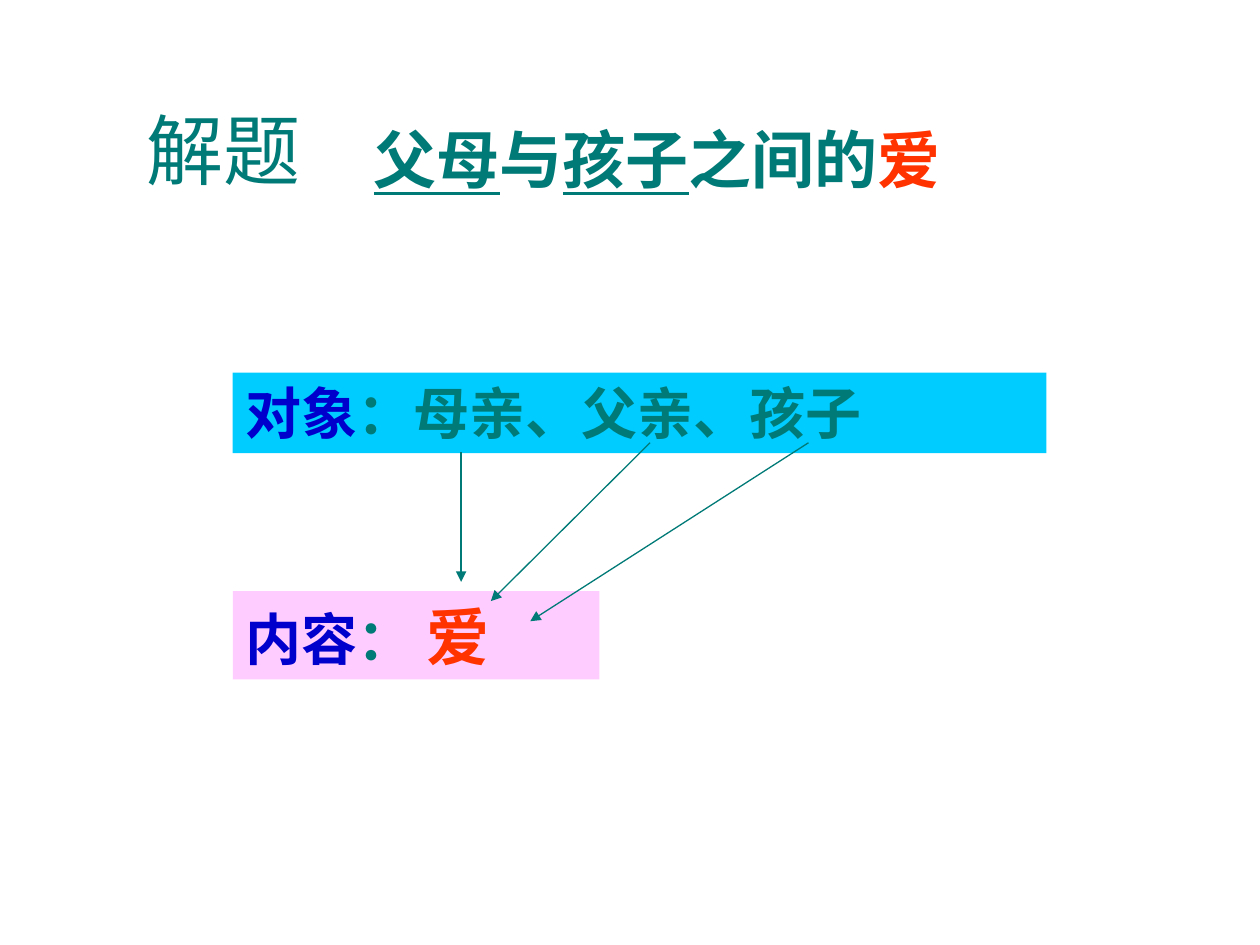
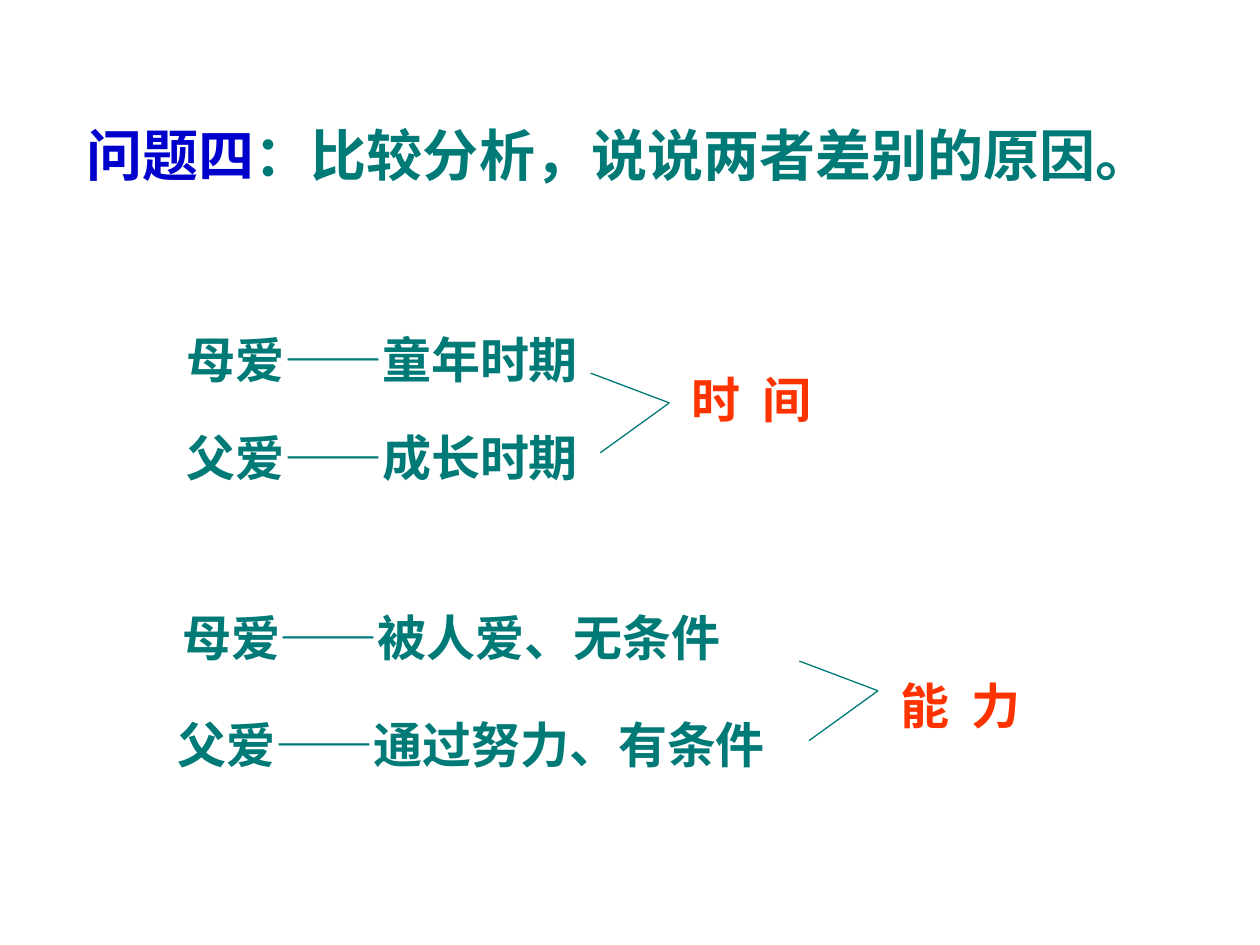
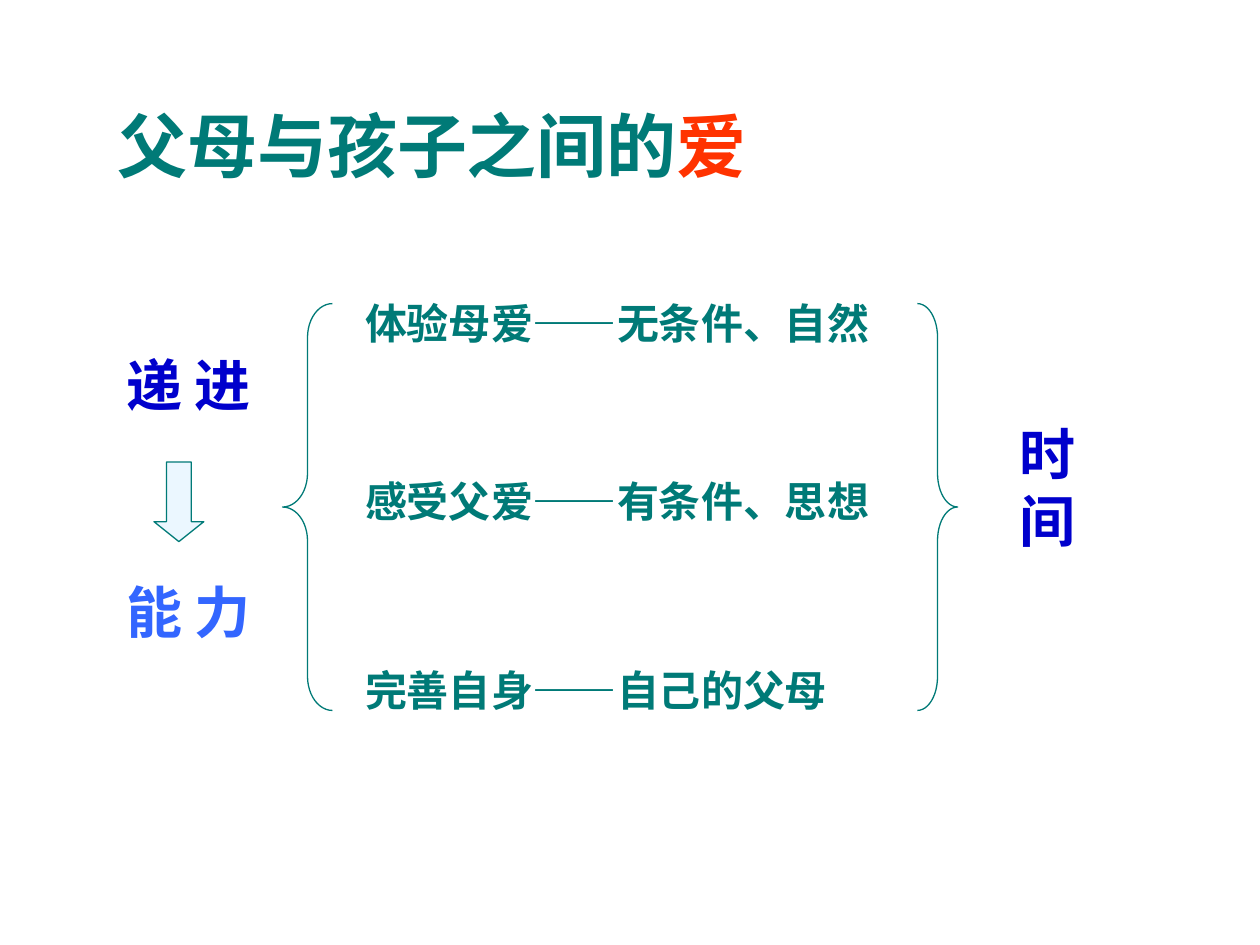
from pptx import Presentation
from pptx.dml.color import RGBColor
from pptx.enum.shapes import MSO_CONNECTOR, MSO_SHAPE
from pptx.enum.text import MSO_ANCHOR, MSO_AUTO_SIZE, PP_ALIGN
from pptx.oxml.ns import qn
from pptx.util import Pt
from lxml.etree import SubElement

TEAL = RGBColor(0x00, 0x7A, 0x77)
NAVY = RGBColor(0x00, 0x00, 0xCC)
BLUE = RGBColor(0x33, 0x66, 0xFF)
RED = RGBColor(0xFF, 0x33, 0x00)
CYAN = RGBColor(0x00, 0xCC, 0xFF)
PINK = RGBColor(0xFF, 0xCC, 0xFF)
PALE = RGBColor(0xEB, 0xF7, 0xFF)
WHITE = RGBColor(0xFF, 0xFF, 0xFF)

LATIN = "Arial"
CJK = "Noto Sans CJK SC"
LINE_WIDTH = 0.75


def add_text(s, box, size, runs, fill=None, **style):
    """Write (text, colour, extra font values) runs in a box, filled if asked."""
    lengths = [Pt(v) for v in box]
    if fill is None:
        sp = s.shapes.add_textbox(*lengths)
    else:
        sp = s.shapes.add_shape(MSO_SHAPE.RECTANGLE, *lengths)
        sp.shadow.inherit = False
        sp.fill.solid()
        sp.fill.fore_color.rgb = fill
        sp.line.fill.background()
    tf = sp.text_frame
    tf.word_wrap = True
    tf.auto_size = MSO_AUTO_SIZE.NONE
    tf.vertical_anchor = MSO_ANCHOR.TOP
    p = tf.paragraphs[0]
    p.alignment = PP_ALIGN.LEFT
    for text, colour, *extra in runs:
        r = p.add_run()
        r.text = text
        values = {"name": LATIN, "size": Pt(size), "bold": True, **style}
        for values_set in (values, *extra):
            for name, value in values_set.items():
                setattr(r.font, name, value)
        r.font.color.rgb = colour
    return sp


def add_line(s, start, end, arrow=False):
    ends = [Pt(v) for v in (*start, *end)]
    line = s.shapes.add_connector(MSO_CONNECTOR.STRAIGHT, *ends)
    line.line.color.rgb = TEAL
    line.line.width = Pt(LINE_WIDTH)
    if arrow:
        SubElement(line.line._get_or_add_ln(), qn("a:tailEnd"), type="triangle")
    SubElement(line._element.spPr, qn("a:effectLst"))


def add_outline(s, kind, box, adjustments, fill=None):
    sp = s.shapes.add_shape(kind, *[Pt(v) for v in box])
    sp.shadow.inherit = False
    for i, value in enumerate(adjustments):
        sp.adjustments[i] = value
    if fill is None:
        sp.fill.background()
    else:
        sp.fill.solid()
        sp.fill.fore_color.rgb = fill
    sp.line.color.rgb = TEAL
    sp.line.width = Pt(LINE_WIDTH)


def add_conclusion(s, tip, label_box, first, second):
    """Two lines meeting at the tip, with a widely spaced red word beside it."""
    x, y = tip
    for dx, dy in ((-45, -17), (-39.5, 28.5)):
        add_line(s, (x + dx, y + dy), tip)
    size = 28
    sp = add_text(s, label_box, size, [(first, RED), (" ", RED), (second, RED)], name=CJK)
    space = sp.text_frame.paragraphs[0].runs[1]
    space._r.get_or_add_rPr().set("spc", str(round(size * 22.4)))


def add_reasons(s, rows, tip, label_box, word):
    for x, y, width, text in rows:
        add_text(s, (x, y, width, 41), 28, [(text, TEAL)])
    add_conclusion(s, tip, label_box, *word)


def topic_slide(s):
    underlined = {"underline": True}
    add_text(s, (76.5, 55, 142, 60.5), 44, [("解题", TEAL)], bold=False)
    add_text(s, (206.5, 65.5, 425.5, 50.5), 36, [
        ("父母", TEAL, underlined), ("与", TEAL), ("孩子", TEAL, underlined),
        ("之间的", TEAL), ("爱", RED)])
    add_text(s, (133, 213, 465, 46), 32,
             [("对象", NAVY), ("：母亲、父亲、孩子", TEAL)], CYAN)
    add_text(s, (133, 337.75, 209.5, 50.5), 32,
             [("内容", NAVY), ("： ", TEAL), ("爱", RED, {"size": Pt(36)})], PINK, name=CJK)
    for start, end in (((263.5, 258.5), (263.5, 332.5)),
                       ((371.5, 253), (280.5, 343.5)),
                       ((462, 253), (303, 355))):
        add_line(s, start, end, arrow=True)


def reasons_slide(s):
    add_text(s, (42.5, 65.5, 641, 46), 32,
             [("问题四", NAVY), ("：比较分析，说说两者差别的原因。", TEAL)])
    add_reasons(s, [(99.5, 185, 329, "母爱——童年时期"),
                    (99.5, 240.5, 493, "父爱——成长时期")],
                (382.5, 230.25), (388, 207.5, 114, 41), "时间")
    add_reasons(s, [(97, 343.5, 436, "母爱——被人爱、无条件"),
                    (94.5, 404.5, 369, "父爱——通过努力、有条件")],
                (501.75, 394.75), (507.5, 382.5, 108, 41), "能力")


def summary_slide(s):
    add_text(s, (60, 55, 476.5, 55.5), 40, [("父母与孩子之间的", TEAL), ("爱", RED)])
    for y, width, text in ((166.5, 306, "体验母爱——无条件、自然"),
                           (268, 317.5, "感受父爱——有条件、思想"),
                           (376, 312, "完善自身——自己的父母")):
        add_text(s, (201.5, y, width, 36), 24, [(text, TEAL)], WHITE)
    top, height = 173.5, 232.5
    add_outline(s, MSO_SHAPE.LEFT_BRACE, (161.5, top, 28.5, height), (0.68, 0.5))
    add_outline(s, MSO_SHAPE.RIGHT_BRACE, (524.25, top, 23, height), (0.84, 0.5))
    add_outline(s, MSO_SHAPE.DOWN_ARROW, (88, 264, 28.5, 45.5), (0.5, 0.4), PALE)
    for box, text, colour in (((65, 196.5, 96.5, 46), "递 进", NAVY),
                              ((65, 326.25, 102, 46), "能 力", BLUE),
                              ((575.5, 236, 73.5, 84.5), "时 间", NAVY)):
        add_text(s, box, 32, [(text, colour)])


def main():
    prs = Presentation()
    prs.slide_width, prs.slide_height = Pt(720), Pt(540)
    for build in (topic_slide, reasons_slide, summary_slide):
        build(prs.slides.add_slide(prs.slide_layouts[6]))
    prs.save("out.pptx")


if __name__ == "__main__":
    main()
